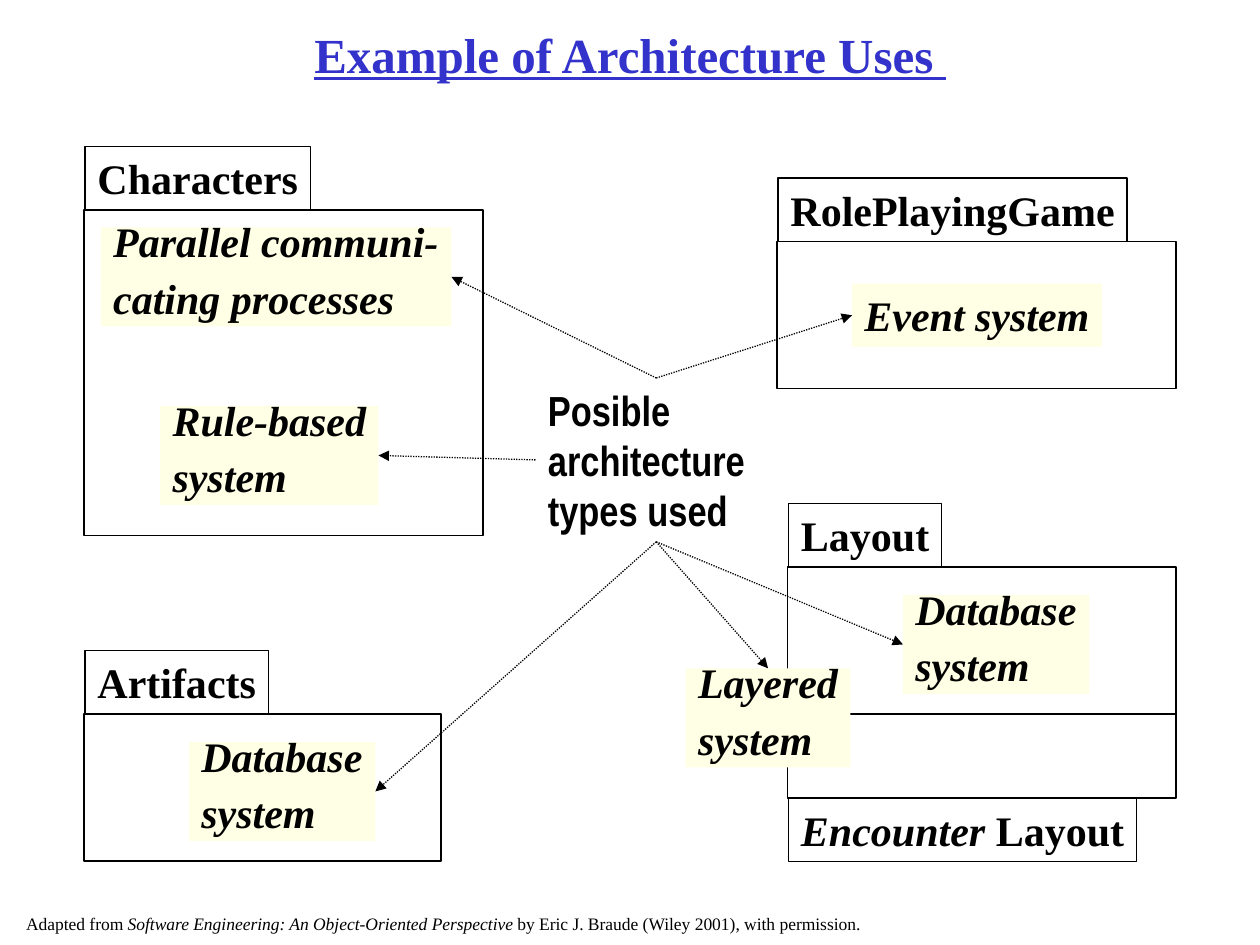
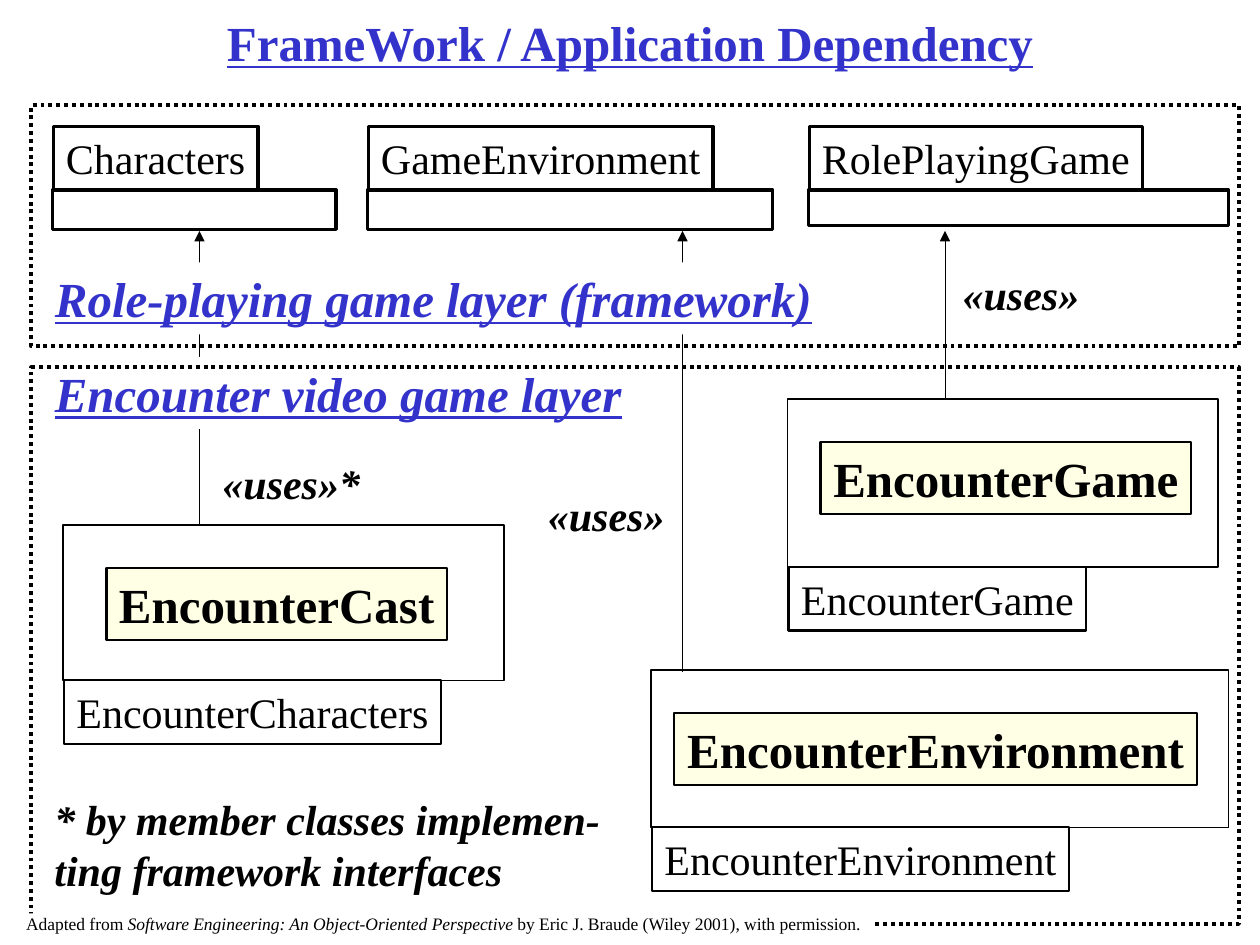
import pptx
import pptx.dml.color
import pptx.enum.dml
import pptx.enum.shapes
import pptx.enum.text
import pptx.oxml
import pptx.util
import lxml.etree


class Theme:
    ink = pptx.dml.color.RGBColor(0x00, 0x00, 0x00)
    heading = pptx.dml.color.RGBColor(0x33, 0x33, 0xCC)
    paper = pptx.dml.color.RGBColor(0xFF, 0xFF, 0xFF)
    highlight = pptx.dml.color.RGBColor(0xFF, 0xFF, 0xE5)
    serif = "Times New Roman"
    narrow = "Arial Narrow"
    large = pptx.util.Pt(28)
    medium = pptx.util.Pt(24)
    small = pptx.util.Pt(10)
    paragraph_gap = pptx.util.Pt(15)


ALIGN = pptx.enum.text.PP_ALIGN
ANCHOR = pptx.enum.text.MSO_ANCHOR
DOTTED = pptx.enum.dml.MSO_LINE.ROUND_DOT
TOP, LEFT, BOTTOM, RIGHT = range(4)
TAB_ROWS = 6.05

deck = pptx.Presentation()
deck.slide_width = pptx.util.Inches(10)
deck.slide_height = pptx.util.Inches(7.5)
COLUMN = deck.slide_width / 120
ROW = deck.slide_height / 90


def add_box(slide, left, top, width, height, text="", fill=None, line=None, dash=None,
            size=Theme.medium, font=Theme.serif, color=Theme.ink, bold=False, italic=False,
            underline=False, wrap=False, centred=False, spacing=None, inset=0.05):
    """Add a rectangle in grid units; underscores in the text switch italics on and off."""
    box = slide.shapes.add_shape(
        pptx.enum.shapes.MSO_SHAPE.RECTANGLE,
        round(left * COLUMN), round(top * ROW), round(width * COLUMN), round(height * ROW))
    box.shadow.inherit = False
    if fill is None:
        box.fill.background()
    else:
        box.fill.solid()
        box.fill.fore_color.rgb = fill
    if line is None:
        box.line.fill.background()
    else:
        box.line.color.rgb = Theme.ink
        box.line.width = pptx.util.Pt(line)
        box.line.dash_style = dash
    if not text:
        return box

    frame = box.text_frame
    frame.word_wrap = wrap
    frame.auto_size = pptx.enum.text.MSO_AUTO_SIZE.SHAPE_TO_FIT_TEXT
    frame.vertical_anchor = ANCHOR.MIDDLE if centred else ANCHOR.TOP
    frame.margin_top = frame.margin_bottom = pptx.util.Inches(inset)
    if not wrap and not centred:
        # Slack on the right keeps a one-line label from breaking
        frame.margin_right = pptx.util.Inches(0.05)
    for index, words in enumerate(text.split("\n")):
        para = frame.add_paragraph() if index else frame.paragraphs[0]
        para.alignment = ALIGN.CENTER if centred else ALIGN.LEFT
        if spacing:
            para.line_spacing = spacing
            if index:
                para.space_before = Theme.paragraph_gap
        for part, piece in enumerate(words.split("_")):
            if not piece:
                continue
            span = para.add_run()
            span.text = piece
            span.font.name, span.font.size, span.font.bold = font, size, bold
            span.font.italic = italic or part % 2 == 1
            span.font.underline = underline
            span.font.color.rgb = color
    return box


def add_arrow(slide, start, end, weight, dash=None):
    arrow = slide.shapes.add_connector(
        pptx.enum.shapes.MSO_CONNECTOR.STRAIGHT,
        round(start[0] * COLUMN), round(start[1] * ROW),
        round(end[0] * COLUMN), round(end[1] * ROW))
    arrow.line.color.rgb = Theme.ink
    arrow.line.width = pptx.util.Pt(weight)
    arrow.line.dash_style = dash
    head = lxml.etree.SubElement(arrow.line._get_or_add_ln(), pptx.oxml.ns.qn("a:tailEnd"))
    head.set("type", "triangle")
    lxml.etree.SubElement(arrow._element.spPr, pptx.oxml.ns.qn("a:effectLst"))
    return arrow


# Titled slides
pages = []
for title, left, top, width, height in (
        ("Example of Architecture Uses ", 9, 2, 102, 6.25),
        ("FrameWork / Application Dependency", 2, 1, 116, 6)):
    page = deck.slides.add_slide(deck.slide_layouts[5])
    heading = page.shapes.title
    heading.left, heading.width = round(left * COLUMN), round(width * COLUMN)
    heading.top, heading.height = round(top * ROW), round(height * ROW)
    frame = heading.text_frame
    frame.text = title
    frame.word_wrap = True
    frame.auto_size = pptx.enum.text.MSO_AUTO_SIZE.NONE
    frame.vertical_anchor = ANCHOR.MIDDLE
    frame.paragraphs[0].alignment = ALIGN.CENTER
    span = frame.paragraphs[0].runs[0]
    span.font.name, span.font.size = Theme.serif, Theme.large
    span.font.bold = span.font.underline = True
    span.font.color.rgb = Theme.heading
    pages.append(page)
uses, dependency = pages

# Packages: a body with a name tab above it, or below it
for page, bold, tab_line, body_line, tab_below, packages in (
        (uses, True, 0.75, 0.75, False, (
            ("Characters", 8, 20, 38, 31, 21.5),
            ("RolePlayingGame", 74, 23, 38, 14, 33.25),
            ("Layout", 75, 54, 37, 14, 14.6),
            ("Artifacts", 8, 68, 34, 14, 17.5))),
        (uses, True, 0.75, 0.75, True, (
            ("_Encounter_ Layout", 75, 68, 37, 8, 33.15),)),
        (dependency, False, 2, 2, False, (
            ("Characters", 5, 18.1, 27, 3.75, 19.5),
            ("GameEnvironment", 35, 18.1, 38.6, 3.75, 32.8),
            ("RolePlayingGame", 77, 18.1, 40, 3.4, 31.7))),
        (dependency, False, 1.25, 0.75, True, (
            ("EncounterCharacters", 6, 50, 42, 14.8, 35.9),
            ("EncounterGame", 75, 38, 41, 16, 28.35),
            ("EncounterEnvironment", 62, 63.8, 55, 15, 39.7)))):
    for name, left, top, width, height, tab_width in packages:
        tab_top = top + height if tab_below else top - TAB_ROWS
        add_box(page, left, top, width, height, line=body_line)
        add_box(page, left + 0.1, tab_top, tab_width, TAB_ROWS, name, line=tab_line, bold=bold)

# Slide 1: architecture types, each pointed to from the caption in the middle
caption = add_box(uses, 51, 36, 23, 15.6, "Posible architecture types used",
                  font=Theme.narrow, bold=True, wrap=True)
for name, left, top, width, height, caption_side, type_side in (
        ("Parallel communi-\ncating processes", 9.6, 21.65, 33.4, 9.45, TOP, RIGHT),
        ("Event system", 81.15, 27, 23.8, TAB_ROWS, TOP, LEFT),
        ("Database\nsystem", 18, 70.65, 17.75, 9.45, BOTTOM, RIGHT),
        ("Database\nsystem", 86, 56.65, 17.75, 9.45, BOTTOM, LEFT),
        ("Rule-based\nsystem", 15.25, 38.65, 20.8, 9.45, LEFT, RIGHT),
        ("Layered\nsystem", 65.3, 63.65, 15.7, 9.45, BOTTOM, TOP)):
    kind = add_box(uses, left, top, width, height, name, fill=Theme.highlight, bold=True,
                   italic=True, spacing=0.6 if "\n" in name else None)
    arrow = add_arrow(uses, (0, 0), (1, 1), 0.75, DOTTED)
    arrow.begin_connect(caption, caption_side)
    arrow.end_connect(kind, type_side)

# Slide 2: main classes, dependencies and layers
for name, left, top, width in (
        ("EncounterCast", 10.15, 54.1, 32.4),
        ("EncounterGame", 78.15, 42.1, 35.3),
        ("EncounterEnvironment", 64.2, 67.9, 49.8)):
    add_box(dependency, left, top, width, 6.85, name, fill=Theme.highlight, line=1.25,
            size=Theme.large, bold=True, centred=True)

for column, bottom in ((19, 50), (65, 64), (90, 38)):
    add_arrow(dependency, (column, bottom), (column, 22), 0.5)

for label, left, top, width in (
        ("«uses»*", 20, 43, 15.5), ("«uses»", 51, 46, 13.5), ("«uses»", 90.5, 25, 13.5)):
    add_box(dependency, left, top, width, TAB_ROWS, label, bold=True, italic=True)

for name, top, width, layer_top, layer_rows in (
        ("Encounter video game layer", 34, 56.4, 35, 53),
        ("Role-playing game layer (framework)", 25, 74.5, 10, 23)):
    add_box(dependency, 4.05, top, width, 6.85, name, fill=Theme.paper, size=Theme.large,
            color=Theme.heading, bold=True, italic=True, underline=True)
    add_box(dependency, 3, layer_top, 115, layer_rows, line=2.25, dash=DOTTED)

add_box(dependency, 4, 75, 55, 10.85, "* by member classes implemen-\nting framework interfaces",
        bold=True, italic=True, wrap=True)

# Source line on every slide
for page in pages:
    add_box(page, 1.3, 87, 82, 2.05,
            "Adapted from _Software Engineering: An Object-Oriented Perspective _"
            "by Eric J. Braude (Wiley 2001), with permission.",
            fill=Theme.paper, size=Theme.small, inset=0)

deck.save("out.pptx")
